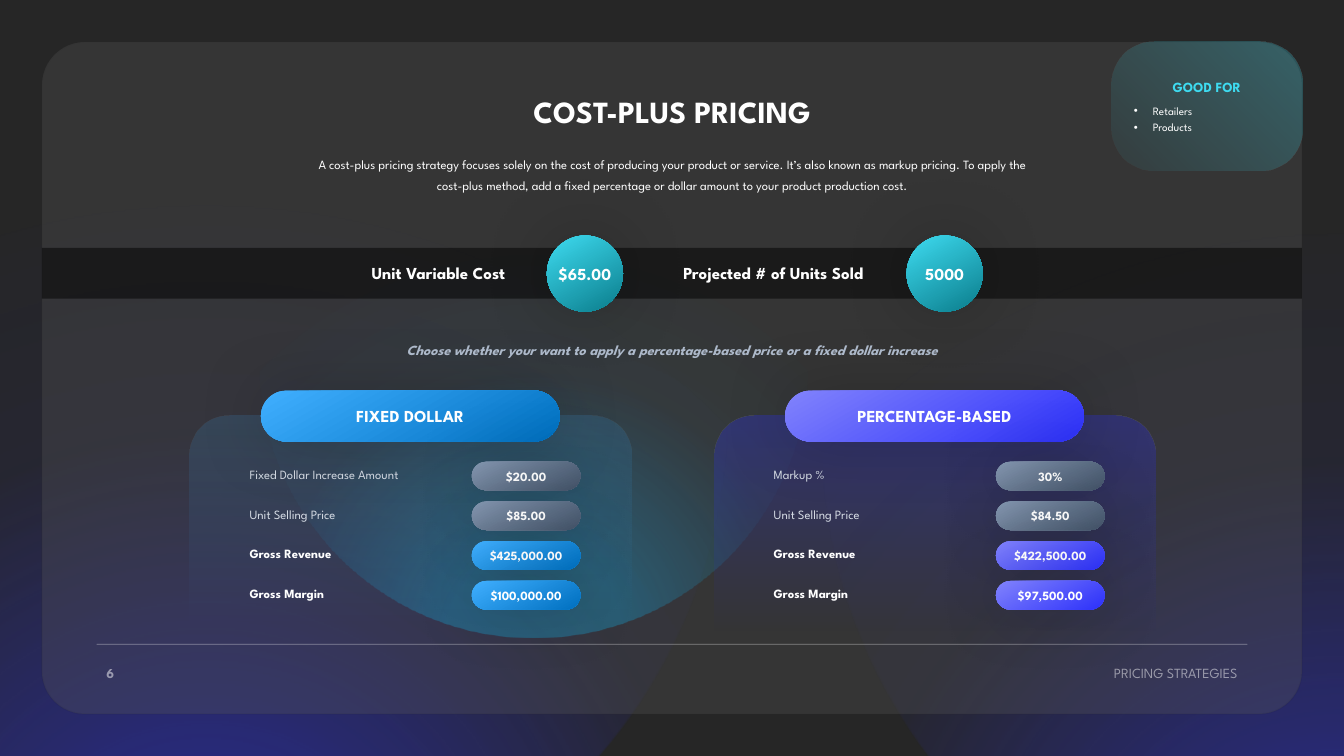
from dataclasses import dataclass

from lxml.etree import SubElement
from pptx import Presentation
from pptx.dml.color import RGBColor
from pptx.enum.shapes import MSO_CONNECTOR, MSO_SHAPE
from pptx.enum.text import MSO_ANCHOR, PP_ALIGN
from pptx.oxml.ns import qn
from pptx.util import Pt


@dataclass(frozen=True)
class Theme:
    font: str = "League Spartan"
    backdrop: str = "262626"
    panel: str = "595959"
    black: str = "000000"
    white: str = "FFFFFF"
    muted: str = "D6DCE5"
    hint: str = "ADB9CA"
    glow_blue: str = "00B0F0"
    teal: tuple = ("3EDBF0", "0B7D8C")
    slate: tuple = ("8497B0", "44546A")
    blue: tuple = ("40AFFF", "0070C0")
    violet: tuple = ("8183FC", "2D31FA")
    title_size: int = 22
    heading_size: int = 12
    note_size: int = 10
    body_size: int = 9
    bullet_size: int = 8


theme = Theme()


def paint(shape, stops, angle=None, focus=None, shadow=False):
    """Fill with (position %, colour, opacity %) stops; a single stop gives a plain fill."""
    shape.line.fill.background()
    shape.shadow.inherit = False
    shape.fill.solid()
    shape.fill.fore_color.rgb = RGBColor.from_string(stops[0][1])
    properties = shape._element.spPr
    plain = properties.find(qn("a:solidFill"))
    if len(stops) == 1:
        SubElement(plain[0], qn("a:alpha"), val=str(stops[0][2] * 1000))
    else:
        gradient = SubElement(properties, qn("a:gradFill"), rotWithShape="1")
        properties.replace(plain, gradient)
        stop_list = SubElement(gradient, qn("a:gsLst"))
        for position, color, opacity in stops:
            stop = SubElement(stop_list, qn("a:gs"), pos=str(position * 1000))
            tint = SubElement(stop, qn("a:srgbClr"), val=color)
            SubElement(tint, qn("a:alpha"), val=str(opacity * 1000))
        if focus:
            circle = SubElement(gradient, qn("a:path"), path="circle")
            sides = {side: str(share * 1000) for side, share in zip("ltrb", focus)}
            SubElement(circle, qn("a:fillToRect"), **sides)
        else:
            SubElement(gradient, qn("a:lin"), ang=str(angle * 60000), scaled="0")
    if shadow:
        blur = SubElement(properties.find(qn("a:effectLst")), qn("a:outerShdw"),
                          blurRad=str(Pt(50)), dist="0", dir="0", algn="ctr", rotWithShape="0")
        SubElement(SubElement(blur, qn("a:srgbClr"), val=theme.black), qn("a:alpha"), val="20000")


def write(shape, text, size, color=theme.white, bold=False, align=PP_ALIGN.LEFT,
          anchor=MSO_ANCHOR.TOP, opacity=100, wrap=True):
    """Put text in the empty first paragraph, or in a new one after it."""
    frame = shape.text_frame
    frame.word_wrap = wrap
    frame.vertical_anchor = anchor
    paragraph = frame.paragraphs[0]
    if paragraph.runs:
        paragraph = frame.add_paragraph()
    paragraph.alignment = align
    run = paragraph.add_run()
    run.text = text
    run.font.name = theme.font
    run.font.size = Pt(size)
    run.font.bold = bold
    run.font.color.rgb = RGBColor.from_string(color)
    if opacity < 100:
        tint = run._r.rPr.find(qn("a:solidFill"))[0]
        SubElement(tint, qn("a:alpha"), val=str(opacity * 1000))
    return paragraph


presentation = Presentation()
presentation.slide_width, presentation.slide_height = Pt(960), Pt(540)
slide = presentation.slides.add_slide(presentation.slide_layouts[6])
slide.background.fill.solid()
slide.background.fill.fore_color.rgb = RGBColor.from_string(theme.backdrop)
shapes = slide.shapes

# Backdrop glows
for left, top, diameter, color in (
    (-225.4, -77.8, 745.2, theme.violet[1]),
    (185.8, 64.1, 391, theme.glow_blue),
    (587.5, -57.6, 744.5, theme.violet[1]),
):
    glow = shapes.add_shape(MSO_SHAPE.OVAL, Pt(left), Pt(top), Pt(diameter), Pt(diameter))
    paint(glow, [(23, color, 40), (68, color, 5), (100, color, 0)], focus=(50, 130, 50, -30))

# Panel, footer rule and dark band
panel = shapes.add_shape(MSO_SHAPE.ROUNDED_RECTANGLE, Pt(30), Pt(30), Pt(900), Pt(480))
panel.adjustments[0] = 0.064
paint(panel, [(0, theme.panel, 30)])
panel.line.color.rgb = RGBColor.from_string(theme.backdrop)
panel.line.width = Pt(1)

footer_rule = shapes.add_connector(MSO_CONNECTOR.STRAIGHT, Pt(69), Pt(460.2), Pt(891), Pt(460.2))
footer_rule.line.color.rgb = RGBColor.from_string(theme.white)
footer_rule.line.width = Pt(0.5)
SubElement(footer_rule._element.spPr, qn("a:effectLst"))
for outlined, opacity in ((panel, 10), (footer_rule, 40)):
    tint = outlined._element.spPr.find(qn("a:ln")).find(qn("a:solidFill"))[0]
    SubElement(tint, qn("a:alpha"), val=str(opacity * 1000))

band = shapes.add_shape(MSO_SHAPE.RECTANGLE, Pt(30), Pt(177), Pt(900), Pt(36.4))
paint(band, [(0, theme.black, 50)])

# Title and introduction
title = shapes.add_textbox(Pt(293), Pt(62.6), Pt(374), Pt(34))
write(title, "COST-PLUS PRICING", theme.title_size, bold=True, align=PP_ALIGN.CENTER)
introduction = shapes.add_textbox(Pt(216), Pt(104.4), Pt(528), Pt(36))
write(introduction,
      "A cost-plus pricing strategy focuses solely on the cost of producing your product or "
      "service. It’s also known as markup pricing. To apply the cost-plus method, add a fixed "
      "percentage or dollar amount to your product production cost.",
      theme.body_size, align=PP_ALIGN.CENTER).line_spacing = Pt(15)

# Pricing cards; values sit in rounded pills
pills = []
ROW_TOP, ROW_STEP = 329.8, 28.4
for card_left, heading, colors, top_opacity, rows in (
    (510, "PERCENTAGE-BASED", theme.violet, 30,
     (("Markup %", "30%"), ("Unit Selling Price", "$84.50"),
      ("Gross Revenue", "$422,500.00"), ("Gross Margin", "$97,500.00"))),
    (135.6, "FIXED DOLLAR", theme.blue, 15,
     (("Fixed Dollar Increase Amount", "$20.00"), ("Unit Selling Price", "$85.00"),
      ("Gross Revenue", "$425,000.00"), ("Gross Margin", "$100,000.00"))),
):
    card = shapes.add_shape(MSO_SHAPE.ROUND_2_SAME_RECTANGLE,
                            Pt(card_left), Pt(296.8), Pt(315.4), Pt(155.5))
    card.adjustments[0] = 0.183
    tint = theme.violet[1] if colors is theme.violet else theme.blue[0]
    paint(card, [(0, tint, 0), (100, tint, top_opacity)], angle=270)
    pills.append((card_left + 50.8, 279, 213.4, 36.4, heading, colors, theme.heading_size))
    for index, (label, value) in enumerate(rows):
        row_top = ROW_TOP + index * ROW_STEP
        is_result = index >= 2
        caption = shapes.add_textbox(Pt(card_left + 35.6), Pt(row_top), Pt(150), Pt(18))
        write(caption, label, theme.body_size,
              theme.white if is_result else theme.muted, bold=is_result)
        pills.append((card_left + 201.4, row_top, 77.6, 20.4, value,
                      colors if is_result else theme.slate, theme.body_size))

# Inputs on the band
for label, label_left, value, value_left in (
    ("Unit Variable Cost", 258.3, "$65.00", 390.6),
    ("Projected # of Units Sold", 481, "5000", 647.6),
):
    caption = shapes.add_textbox(Pt(label_left), Pt(184.3), Pt(156), Pt(21.6))
    write(caption, label, theme.heading_size, bold=True)
    pills.append((value_left, 168.2, 54.4, 54.4, value, theme.teal, theme.heading_size))

for left, top, width, height, text, colors, size in pills:
    pill = shapes.add_shape(MSO_SHAPE.OVAL if width == height else MSO_SHAPE.ROUNDED_RECTANGLE,
                            Pt(left), Pt(top), Pt(width), Pt(height))
    if width != height:
        pill.adjustments[0] = 0.5
    paint(pill, [(0, colors[0], 100), (100, colors[1], 100)], angle=60, shadow=True)
    pill.text_frame.margin_left = pill.text_frame.margin_right = 0
    write(pill, text, size, bold=True, align=PP_ALIGN.CENTER,
          anchor=MSO_ANCHOR.MIDDLE).space_after = Pt(6)

hint = shapes.add_textbox(Pt(255.6), Pt(240.5), Pt(448.6), Pt(19.4))
write(hint, "Choose whether your want to apply a percentage-based price or a fixed dollar increase",
      theme.note_size, theme.hint, bold=True, align=PP_ALIGN.CENTER,
      wrap=False).runs[0].font.italic = True

# Footer
for left, width, text, bold, align in (
    (778, 113, "PRICING STRATEGIES", False, PP_ALIGN.RIGHT),
    (69, 25, "6", True, PP_ALIGN.LEFT),
):
    footer = shapes.add_textbox(Pt(left), Pt(470.9), Pt(width), Pt(19.4))
    write(footer, text, theme.note_size, bold=bold, align=align,
          anchor=MSO_ANCHOR.MIDDLE, opacity=50, wrap=False)

# Good-for badge
badge = shapes.add_shape(MSO_SHAPE.ROUNDED_RECTANGLE, Pt(794), Pt(30), Pt(136), Pt(91.6))
badge.adjustments[0] = 0.332
paint(badge, [(0, theme.teal[0], 5), (100, theme.teal[0], 28)], focus=(0, 100, 100, 0))
badge_heading = write(badge, "GOOD FOR", theme.note_size, theme.teal[0], bold=True,
                      align=PP_ALIGN.CENTER, anchor=MSO_ANCHOR.MIDDLE)
badge_heading.line_spacing, badge_heading.space_after = Pt(12), Pt(4)
for audience in ("Retailers", "Products"):
    bullet = write(badge, audience, theme.bullet_size, anchor=MSO_ANCHOR.MIDDLE)
    bullet.line_spacing = Pt(12)
    settings = bullet._p.get_or_add_pPr()
    settings.set("marL", str(Pt(13.5)))
    settings.set("indent", str(Pt(-13.5)))
    SubElement(settings, qn("a:buFont"), typeface="Arial")
    SubElement(settings, qn("a:buChar"), char="•")

presentation.save("out.pptx")
